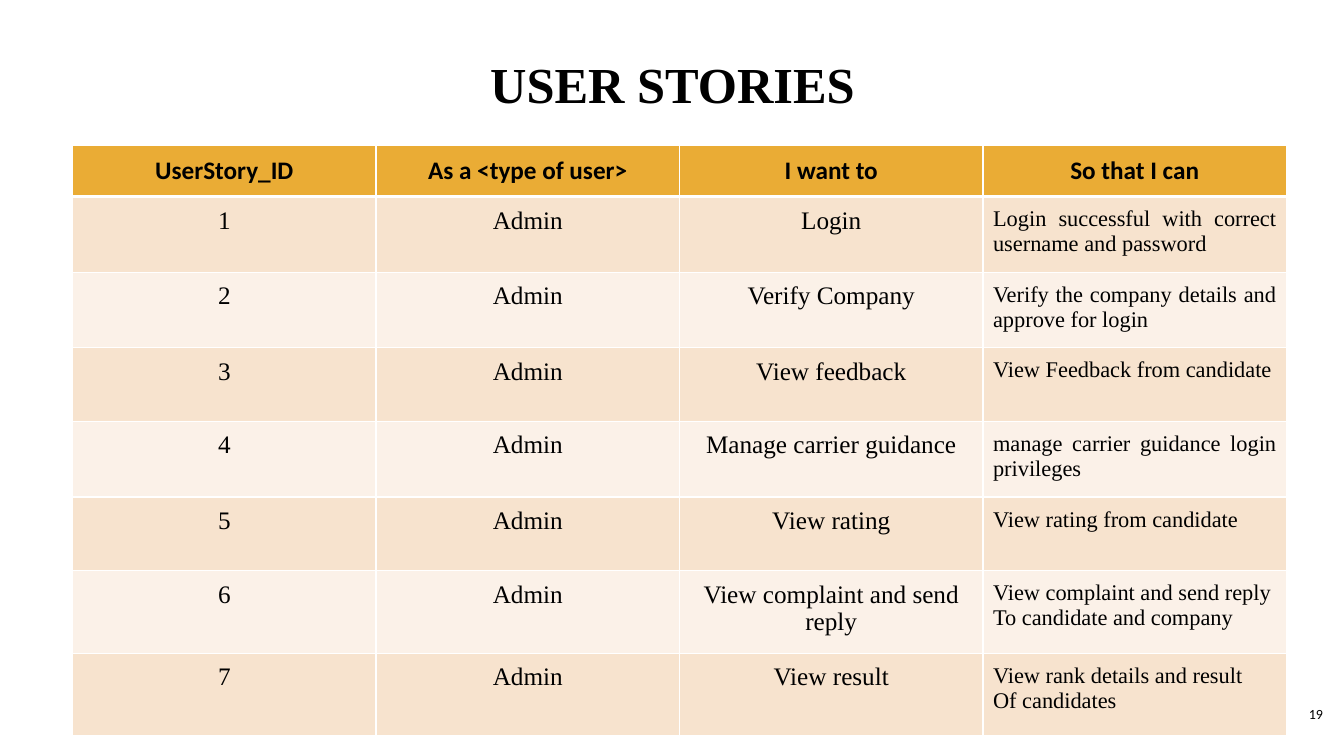
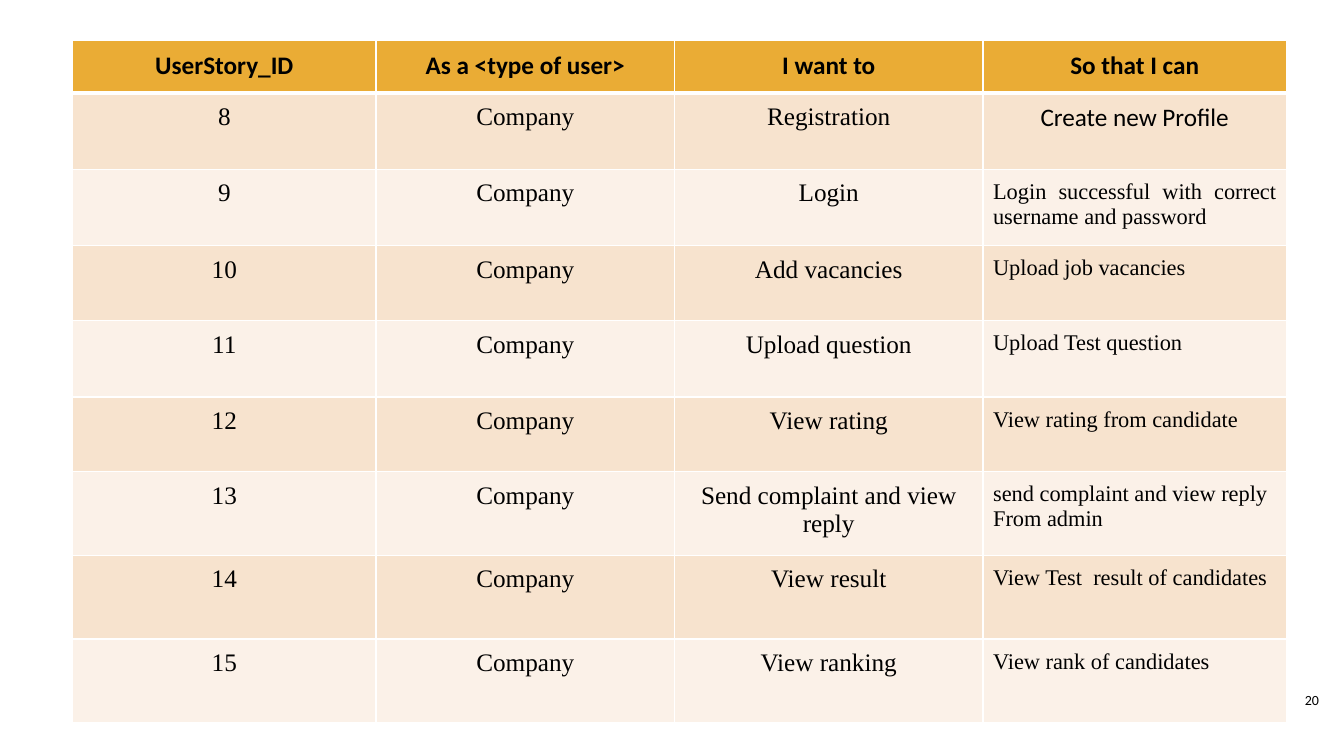
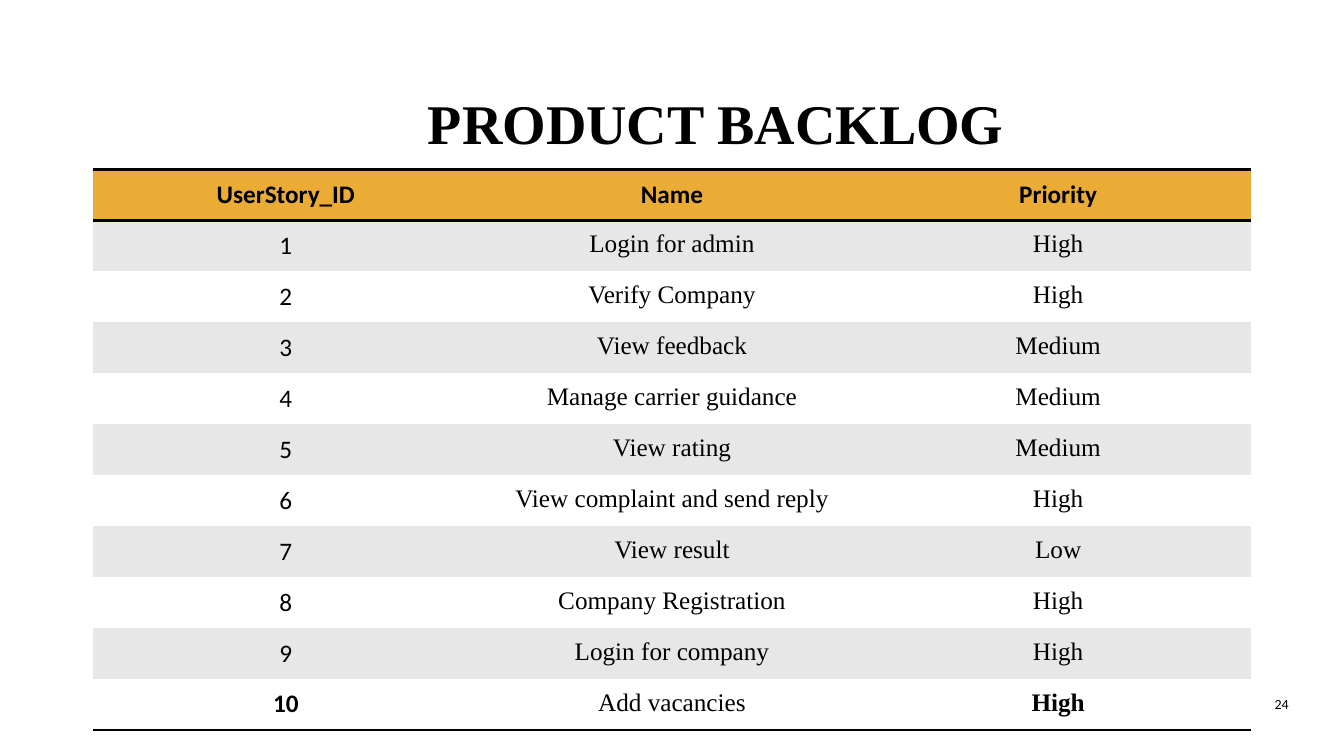
from dataclasses import dataclass

from lxml.etree import SubElement
from pptx import Presentation
from pptx.dml.color import RGBColor
from pptx.enum.text import MSO_ANCHOR as Anchor, PP_ALIGN as Align
from pptx.oxml.ns import qn
from pptx.util import Emu, Pt

PX = 9144  # one px is a hundredth of an inch
PLAIN_TABLE = "{2D5ABB26-0587-4C30-8999-92F81FD0307C}"


@dataclass(frozen=True)
class Theme:
    ink: str = "000000"
    white: str = "FFFFFF"
    header: str = "EAAC35"
    peach: tuple = ("F7E3CE", "FBF1E8")
    grey: tuple = ("E7E7E7", "FFFFFF")
    sans: str = "Calibri"
    serif: str = "Times New Roman"
    body_size: int = 18
    goal_size: int = 16
    number_size: int = 10


THEME = Theme()

# Cell formats
HEADING = dict(font=THEME.sans, bold=True)
SANS = dict(font=THEME.sans)
SERIF = dict(font=THEME.serif)
GOAL = dict(font=THEME.serif, size=THEME.goal_size, align=Align.JUSTIFY)

# Content
STORY_HEADINGS = ["UserStory_ID", "As a <type of user>", "I want to", "So that I can"]
ADMIN_STORIES = [
    ("Login", "Login successful with correct username and password"),
    ("Verify Company", "Verify the company details and approve for login"),
    ("View feedback", "View Feedback from candidate"),
    ("Manage carrier guidance", "manage carrier guidance login privileges"),
    ("View rating", "View rating from candidate"),
    ("View complaint and send reply",
     "View complaint and send reply\nTo candidate and company"),
    ("View result", "View rank details and result\nOf candidates"),
]
COMPANY_STORIES = [
    ("Registration", "Create new Profile", SANS),
    ("Login", "Login successful with correct username and password"),
    ("Add vacancies", "Upload job vacancies"),
    ("Upload question", "Upload Test question"),
    ("View rating", "View rating from candidate"),
    ("Send complaint and view reply", "send complaint and view reply\nFrom admin"),
    ("View result", "View Test  result of candidates"),
    ("View ranking", "View rank of candidates"),
]
BACKLOG_HEADINGS = ["UserStory_ID", "Name", "Priority"]
BACKLOG = [
    ("Login for admin", "High"),
    ("Verify Company", "High"),
    ("View feedback", "Medium"),
    ("Manage carrier guidance", "Medium"),
    ("View rating", "Medium"),
    ("View complaint and send reply", "High"),
    ("View result", "Low"),
    ("Company Registration", "High"),
    ("Login for company", "High"),
    ("Add vacancies", "High"),
]


def px(*lengths):
    return [Emu(length * PX) for length in lengths]


def write(frame, text, font=THEME.serif, size=THEME.body_size, bold=False,
          align=Align.CENTER):
    """Fill a text frame, one paragraph per line of text."""
    frame.word_wrap = True
    for index, line in enumerate(text.split("\n")):
        para = frame.add_paragraph() if index else frame.paragraphs[0]
        para.alignment = align
        span = para.add_run()
        span.text = line
        span.font.name, span.font.size, span.font.bold = font, Pt(size), bold
        span.font.color.rgb = RGBColor.from_string(THEME.ink)


def add_title(page, text, place, size):
    title = page.shapes.title
    title.left, title.top, title.width, title.height = px(*place)
    title.text_frame.vertical_anchor = Anchor.MIDDLE
    write(title.text_frame, text, size=size, bold=True)


def add_page_number(page, number, left, top):
    box = page.shapes.add_textbox(*px(left, top, 60, 40))
    box.text_frame.vertical_anchor = Anchor.MIDDLE
    write(box.text_frame, str(number), font=THEME.sans, size=THEME.number_size,
          align=Align.RIGHT)


def set_borders(cell, color, **widths):
    """Draw cell edges; the keywords L, R, T and B give widths in points."""
    properties = cell._tc.get_or_add_tcPr()
    edges = [edge for edge in "LRTB" if edge in widths]
    for position, edge in enumerate(edges):
        line = SubElement(properties, qn(f"a:ln{edge}"), w=str(Pt(widths[edge])))
        fill = SubElement(line, qn("a:solidFill"))
        SubElement(fill, qn("a:srgbClr"), val=color)
        properties.insert(position, line)


def add_grid(page, left, top, columns, heights, rows, bands):
    """Add a table; rows hold (text, format) pairs, the first row being the header."""
    frame = page.shapes.add_table(len(rows), len(columns),
                                  *px(left, top, sum(columns), sum(heights)))
    table = frame.graphic_frame.table if hasattr(frame, "graphic_frame") else frame.table
    table._tbl.tblPr.find(qn("a:tableStyleId")).text = PLAIN_TABLE
    for column, width in zip(table.columns, px(*columns)):
        column.width = width
    for index, (row, height, cells) in enumerate(zip(table.rows, px(*heights), rows)):
        row.height = height
        color = bands[(index - 1) % 2] if index else THEME.header
        for cell, (text, style) in zip(row.cells, cells):
            cell.margin_left, cell.margin_right, cell.margin_top, cell.margin_bottom = px(
                10, 10, 10, 10)
            cell.fill.solid()
            cell.fill.fore_color.rgb = RGBColor.from_string(color)
            write(cell.text_frame, text, **style)
    return table


def header_row(headings):
    return [(heading, HEADING) for heading in headings]


def add_stories(page, top, columns, heights, user, first_id, stories):
    rows = [header_row(STORY_HEADINGS)]
    for number, (want, goal, *style) in enumerate(stories, first_id):
        rows.append([(str(number), SERIF), (user, SERIF), (want, SERIF),
                     (goal, style[0] if style else GOAL)])
    table = add_grid(page, 72, top, columns, heights, rows, THEME.peach)
    for index, row in enumerate(table.rows):
        edges = dict(B=1) if index else dict(T=1, B=3)
        for cell in row.cells:
            set_borders(cell, THEME.white, L=1, R=1, **edges)


def add_backlog(page):
    rows = [header_row(BACKLOG_HEADINGS)]
    for number, (name, priority) in enumerate(BACKLOG, 1):
        last = number == len(BACKLOG)
        rows.append([(str(number), dict(SANS, bold=last)), (name, SERIF),
                     (priority, dict(SERIF, bold=last))])
    table = add_grid(page, 92, 168, [383] * 3, [50] * len(rows), rows, THEME.grey)
    for column in range(len(BACKLOG_HEADINGS)):
        set_borders(table.cell(0, column), THEME.ink, T=2, B=2)
        set_borders(table.cell(len(BACKLOG), column), THEME.ink, B=2)


def main():
    deck = Presentation()
    deck.slide_width, deck.slide_height = px(1333, 750)
    title_only, blank = deck.slide_layouts[5], deck.slide_layouts[6]

    # Admin stories
    page = deck.slides.add_slide(title_only)
    add_title(page, "USER STORIES", (92, 40, 1150, 86), size=36)
    add_stories(page, 144, [301] * 4, [51, 75, 75, 73, 75, 73, 82, 82],
                "Admin", 1, ADMIN_STORIES)
    add_page_number(page, 19, 1262, 688)

    # Company stories
    page = deck.slides.add_slide(blank)
    add_stories(page, 40, [301, 296, 306, 301], [52, 76, 76, 74, 76, 74, 83, 83, 83],
                "Company", 8, COMPANY_STORIES)
    add_page_number(page, 20, 1258, 674)

    # Product backlog
    page = deck.slides.add_slide(title_only)
    add_title(page, "PRODUCT BACKLOG", (162, 75, 1096, 93), size=40)
    add_backlog(page)
    add_page_number(page, 24, 1228, 678)

    deck.save("out.pptx")


if __name__ == "__main__":
    main()
